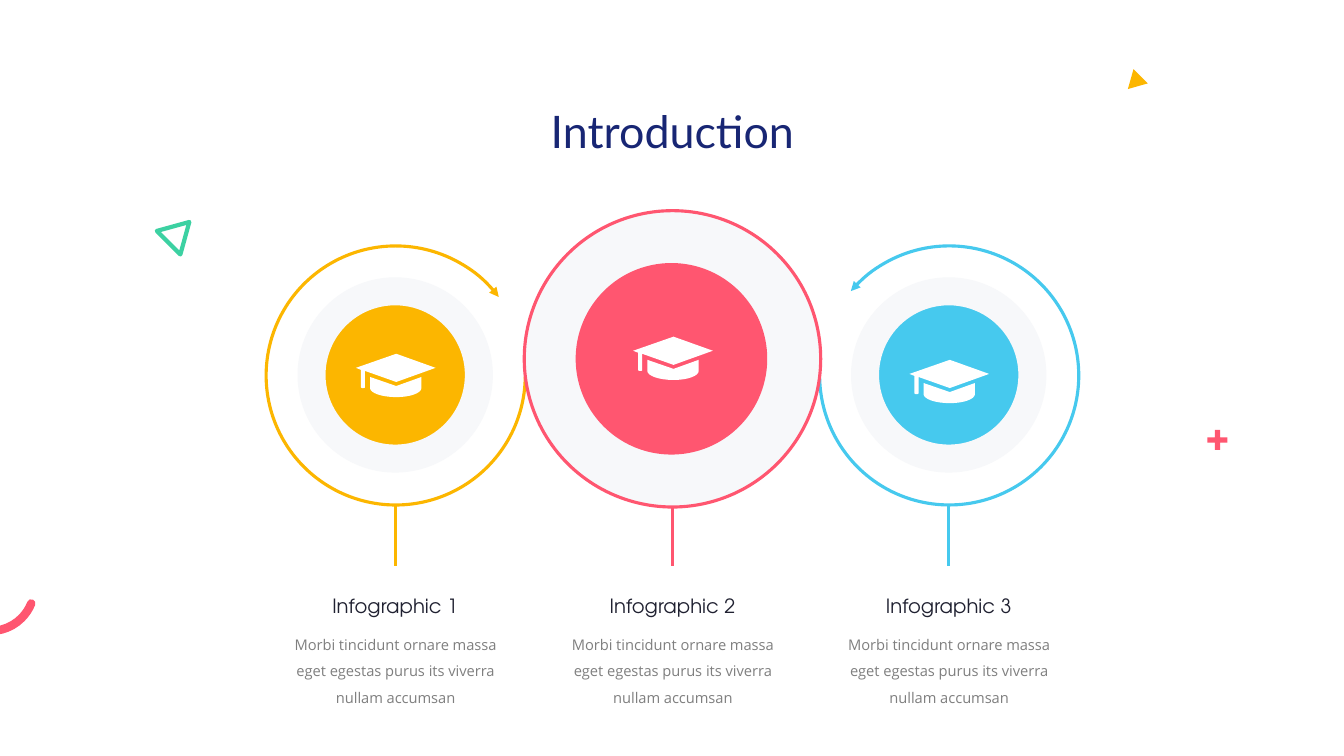
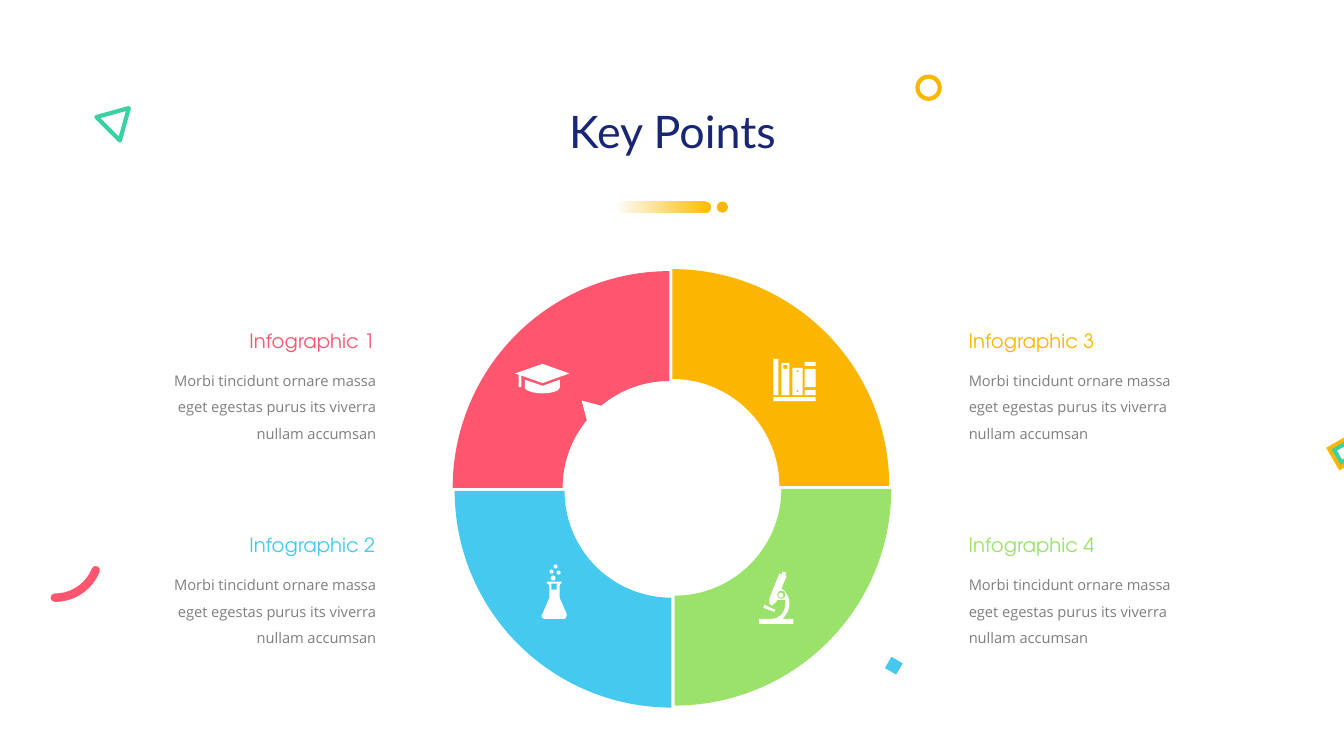
from dataclasses import dataclass

from lxml.etree import SubElement
from pptx import Presentation
from pptx.dml.color import RGBColor
from pptx.enum.shapes import MSO_CONNECTOR, MSO_SHAPE
from pptx.enum.text import MSO_AUTO_SIZE, PP_ALIGN
from pptx.oxml.ns import qn
from pptx.util import Pt

PX = 9144
DEGREE = 0.6
CURVE_STEPS = 8
SUMMARY = "Morbi tincidunt ornare massa eget egestas purus its viverra nullam accumsan"


@dataclass(frozen=True)
class Theme:
    """Colours, fonts and type sizes of the deck."""
    navy: str = "182674"
    ink: str = "202131"
    gray: str = "7F7F7F"
    pale: str = "F7F8FA"
    white: str = "FFFFFF"
    red: str = "FF5670"
    amber: str = "FCB600"
    gold: str = "FFBE00"
    blue: str = "46C9EE"
    green: str = "9AE26A"
    mint: str = "3CD1A2"
    title_font: str = "Lato"
    heading_font: str = "TeX Gyre Adventor"
    body_font: str = "Open Sans"
    title_size: float = 32
    heading_size: float = 14
    body_size: float = 10.5


@dataclass(frozen=True)
class Icon:
    """Parts of a pictogram, measured from its top left corner."""
    blocks: tuple = ()
    discs: tuple = ()
    outlines: tuple = ()


THEME = Theme()


def box_path(left, top, width, height):
    """Return the corners of a rectangle."""
    return [(left, top), (left + width, top),
            (left + width, top + height), (left, top + height)]


def ring_path(x, y, radius):
    """Return a circle as four curves."""
    pull = radius * 0.55
    return [(x + radius, y),
            (x + radius, y + pull, x + pull, y + radius, x, y + radius),
            (x - pull, y + radius, x - radius, y + pull, x - radius, y),
            (x - radius, y - pull, x - pull, y - radius, x, y - radius),
            (x + pull, y - radius, x + radius, y - pull, x + radius, y)]


CAP = Icon(outlines=(
    ([(14, 23), (14, 34), (14, 39, 26, 43, 40, 43), (54, 43, 65, 39, 65, 34),
      (65, 23), (40, 32)],),
    ([(40, 28), (79, 14), (40, 0), (0, 14), (5, 16), (5, 33), (5, 34, 6, 34, 7, 34),
      (8, 34, 9, 34, 9, 33), (9, 17)],),
))
BOOKS = Icon(
    blocks=((0, 38, 42, 4), (0, 0, 5, 36), (31, 31, 11, 5), (31, 10, 11, 18), (31, 3, 11, 4)),
    outlines=(
        (box_path(19, 9, 10, 27), ring_path(24, 12, 1), ring_path(24, 32, 1)),
        (box_path(8, 4, 8, 32), box_path(10, 6, 4, 4)),
    ),
)
MICROSCOPE = Icon(
    discs=((19, 21, 5, 5),),
    outlines=(
        ([(5, 33), (16, 38), (15, 40), (4, 36)],),
        ([(23, 47), (27, 43, 30, 38, 30, 32), (30, 26, 27, 20, 22, 17), (27, 5), (26, 4),
          (27, 1), (23, 0), (22, 3), (20, 2), (10, 27), (10, 28, 10, 30, 10, 31), (10, 32),
          (13, 34), (14, 32), (15, 32, 16, 31, 17, 30), (18, 28), (26, 28),
          (26, 29, 26, 31, 26, 32), (26, 40, 20, 47, 12, 47), (0, 47), (0, 52), (34, 52),
          (34, 47)],
         ring_path(22, 23, 4)),
    ),
)
FLASK = Icon(
    discs=((12, 0, 4, 4), (15, 6, 4, 4), (8, 5, 4, 4), (9, 11, 5, 5)),
    outlines=((
        [(25, 49), (18, 33), (18, 22), (18, 20, 19, 19, 19, 19), (20, 19, 20, 18, 20, 17),
         (6, 17), (5, 18, 5, 19, 6, 19), (6, 19, 8, 20, 8, 22), (8, 33), (1, 49),
         (0, 50, 0, 52, 1, 53), (2, 54, 3, 54, 4, 54), (21, 54), (22, 54, 24, 54, 24, 53),
         (25, 52, 25, 50, 25, 49)],
        [(15, 22), (15, 25), (10, 25), (10, 22), (10, 21, 10, 20, 9, 19), (16, 19),
         (15, 20, 15, 21, 15, 22)],
    ),),
)


def flatten(path_points):
    """Turn corners and cubic curves into a plain list of points."""
    points = [path_points[0]]
    for item in path_points[1:]:
        if len(item) == 2:
            points.append(item)
            continue
        knots = [points[-1], item[:2], item[2:4], item[4:]]
        for step in range(1, CURVE_STEPS + 1):
            t = step / CURVE_STEPS
            weights = ((1 - t) ** 3, 3 * t * (1 - t) ** 2, 3 * t * t * (1 - t), t ** 3)
            points.append(tuple(sum(weight * knot[axis] for weight, knot in zip(weights, knots))
                                for axis in (0, 1)))
    return points


def write(box, text, *, font, size, color, align=PP_ALIGN.LEFT, spacing=1.0):
    """Fill a box with one formatted paragraph."""
    frame = box.text_frame
    frame.word_wrap = True
    frame.auto_size = MSO_AUTO_SIZE.SHAPE_TO_FIT_TEXT
    para = frame.paragraphs[0]
    para.alignment = align
    para.line_spacing = spacing
    span = para.add_run()
    span.text = text
    span.font.name = font
    span.font.size = Pt(size)
    span.font.color.rgb = RGBColor.from_string(color)


class Painter:
    """Draws styled elements on the current page of a deck."""

    def __init__(self, deck):
        self.deck = deck
        self.page = None

    def new_page(self, title):
        """Start a blank page with its title."""
        self.page = self.deck.slides.add_slide(self.deck.slide_layouts[6])
        self.text(title, (302, 98, 730, 64), font=THEME.title_font, size=THEME.title_size,
                  color=THEME.navy, align=PP_ALIGN.CENTER)

    def text(self, text, place, **style):
        """Add a text box."""
        box = self.page.shapes.add_textbox(*(length * PX for length in place))
        write(box, text, **style)

    def topic(self, heading, head_place, body_place, color, align):
        """Add a heading with the summary below it."""
        self.text(heading, head_place, font=THEME.heading_font, size=THEME.heading_size,
                  color=color, align=align)
        self.text(SUMMARY, body_place, font=THEME.body_font, size=THEME.body_size,
                  color=THEME.gray, align=align, spacing=1.5)

    def finish(self, shape, fill=None, line=None, width=2.25):
        """Set fill and outline, and drop the shadow."""
        shape.shadow.inherit = False
        if fill:
            shape.fill.solid()
            shape.fill.fore_color.rgb = RGBColor.from_string(fill)
        else:
            shape.fill.background()
        if line:
            shape.line.color.rgb = RGBColor.from_string(line)
            shape.line.width = Pt(width)
        else:
            shape.line.fill.background()

    def shape(self, kind, place, turn=0, adjust=(), parent=None, **style):
        """Add a preset shape."""
        shapes = (parent or self.page).shapes
        shape = shapes.add_shape(kind, *(round(length * PX) for length in place))
        shape.rotation = turn
        for index, value in enumerate(adjust):
            shape.adjustments[index] = value
        self.finish(shape, **style)
        return shape

    def arc(self, place, start, end, color, arrow=None, **style):
        """Add an open arc, with an arrowhead at one end if asked."""
        shape = self.shape(MSO_SHAPE.ARC, place, adjust=(start * DEGREE, end * DEGREE),
                           line=color, **style)
        if arrow:
            SubElement(shape.line.fill._xPr, qn(f"a:{arrow}End"), type="triangle")
        return shape

    def stem(self, x, top, bottom, color):
        """Add a vertical line."""
        line = self.page.shapes.add_connector(
            MSO_CONNECTOR.STRAIGHT, x * PX, top * PX, x * PX, bottom * PX)
        line.line.color.rgb = RGBColor.from_string(color)
        line.line.width = Pt(2.25)
        SubElement(line.element.spPr, qn("a:effectLst"))

    def icon(self, icon, left, top, scale=1.0):
        """Add a white pictogram as one group."""
        group = self.page.shapes.add_group_shape()
        for kind, places in ((MSO_SHAPE.RECTANGLE, icon.blocks), (MSO_SHAPE.OVAL, icon.discs)):
            for x, y, width, height in places:
                place = (left + x * scale, top + y * scale, width * scale, height * scale)
                self.shape(kind, place, parent=group, fill=THEME.white)
        for outline in icon.outlines:
            builder = None
            for contour in outline:
                points = [((left + x * scale) * PX, (top + y * scale) * PX)
                          for x, y in flatten(contour)]
                if builder:
                    builder.move_to(*points[0])
                else:
                    builder = group.shapes.build_freeform(*points[0])
                builder.add_line_segments(points[1:], close=True)
            self.finish(builder.convert_to_shape(), fill=THEME.white)

    def mint_triangle(self, left, top):
        """Add the outlined triangle ornament."""
        shape = self.shape(MSO_SHAPE.ISOSCELES_TRIANGLE, (left, top, 33, 29), turn=45,
                           line=THEME.mint, width=3)
        SubElement(shape.line.fill._xPr, qn("a:round"))

    def red_swoosh(self, left, top):
        """Add the thick round-ended arc ornament."""
        shape = self.arc((left, top, 87, 87), 276.8, 345.3, THEME.red, turn=105, width=6)
        shape.line.fill._xPr.set("cap", "rnd")


def draw_introduction(painter):
    """Draw three linked circles with captions."""
    painter.new_page("Introduction")
    painter.arc((813, 244, 257, 257), 220.6, 178.7, THEME.blue, arrow="head")
    painter.arc((264, 244, 257, 257), 0.55, 322.7, THEME.amber, arrow="tail")
    painter.shape(MSO_SHAPE.OVAL, (520, 209, 294, 294), fill=THEME.pale, line=THEME.red)
    painter.shape(MSO_SHAPE.OVAL, (571, 261, 190, 190), fill=THEME.red)
    columns = ((392, THEME.amber, 501, 351), (667, THEME.red, 503, 334),
               (941, THEME.blue, 501, 357))
    for number, (center, color, stem_top, icon_top) in enumerate(columns, 1):
        if color != THEME.red:
            painter.shape(MSO_SHAPE.OVAL, (center - 83, 289, 166, 166), fill=color,
                          line=THEME.pale, width=20)
        painter.stem(center, stem_top, 562, color)
        painter.icon(CAP, center - 39, icon_top)
        painter.topic(f"Infographic {number}", (center - 85, 584, 170, 34),
                      (center - 126, 617, 253, 90), THEME.ink, PP_ALIGN.CENTER)
    painter.shape(MSO_SHAPE.ISOSCELES_TRIANGLE, (1115, 73, 20, 18), turn=225, fill=THEME.amber)
    painter.mint_triangle(161, 216)
    painter.shape(MSO_SHAPE.MATH_PLUS, (1194, 423, 27, 27), adjust=(0.193,), fill=THEME.red)
    painter.red_swoosh(-53, 539)


def draw_key_points(painter):
    """Draw a ring of four quarters with topics on both sides."""
    painter.new_page("Key Points")
    bar = painter.shape(MSO_SHAPE.ROUNDED_RECTANGLE, (611, 200, 94, 11), adjust=(0.5,))
    bar.fill.gradient()
    bar.fill.gradient_angle = 0
    for stop, color in zip(bar.fill.gradient_stops, (THEME.amber, THEME.gold)):
        stop.color.rgb = RGBColor.from_string(color)
    SubElement(next(bar.element.iter(qn("a:srgbClr"))), qn("a:alpha"), val="0")
    painter.shape(MSO_SHAPE.OVAL, (711, 200, 11, 11), fill=THEME.amber)
    radius, thickness = 215, 109
    quarters = ((664, 484, 180, THEME.red), (667, 482, 270, THEME.amber),
                (669, 485, 0, THEME.green), (666, 487, 90, THEME.blue))
    for x, y, start, color in quarters:
        painter.shape(MSO_SHAPE.BLOCK_ARC, (x - radius, y - radius, 2 * radius, 2 * radius),
                      adjust=(start * DEGREE, (start + 90) % 360 * DEGREE,
                              thickness / (2 * radius)), fill=color)
    painter.shape(MSO_SHAPE.ISOSCELES_TRIANGLE, (570, 393, 35, 30), turn=315, fill=THEME.white)
    for index, color in enumerate((THEME.red, THEME.blue, THEME.amber, THEME.green)):
        side, row = divmod(index, 2)
        top = 321 + row * 203
        painter.topic(f"Infographic {index + 1}", ((212, 951)[side], top, 170, 34),
                      ((142, 951)[side], top + 34, 241, 90), color,
                      (PP_ALIGN.RIGHT, PP_ALIGN.LEFT)[side])
    for inset, color in ((0, THEME.amber), (4, THEME.mint), (8, THEME.white)):
        size = 26 - 2 * inset
        painter.shape(MSO_SHAPE.RECTANGLE, (1320 + inset, 436 + inset, size, size),
                      turn=150, fill=color)
    painter.shape(MSO_SHAPE.RECTANGLE, (880, 654, 13, 13), turn=30, fill=THEME.blue)
    painter.shape(MSO_SHAPE.OVAL, (910, 76, 22, 22), line=THEME.amber, width=3)
    painter.mint_triangle(101, 103)
    painter.red_swoosh(11, 506)
    painter.icon(CAP, 511, 361, scale=0.68)
    painter.icon(BOOKS, 767, 356)
    painter.icon(MICROSCOPE, 753, 567)
    painter.icon(FLASK, 537, 560)


def main():
    """Build and save the deck."""
    deck = Presentation()
    deck.slide_width, deck.slide_height = 1333 * PX, 750 * PX
    painter = Painter(deck)
    draw_introduction(painter)
    draw_key_points(painter)
    deck.save("out.pptx")


if __name__ == "__main__":
    main()
